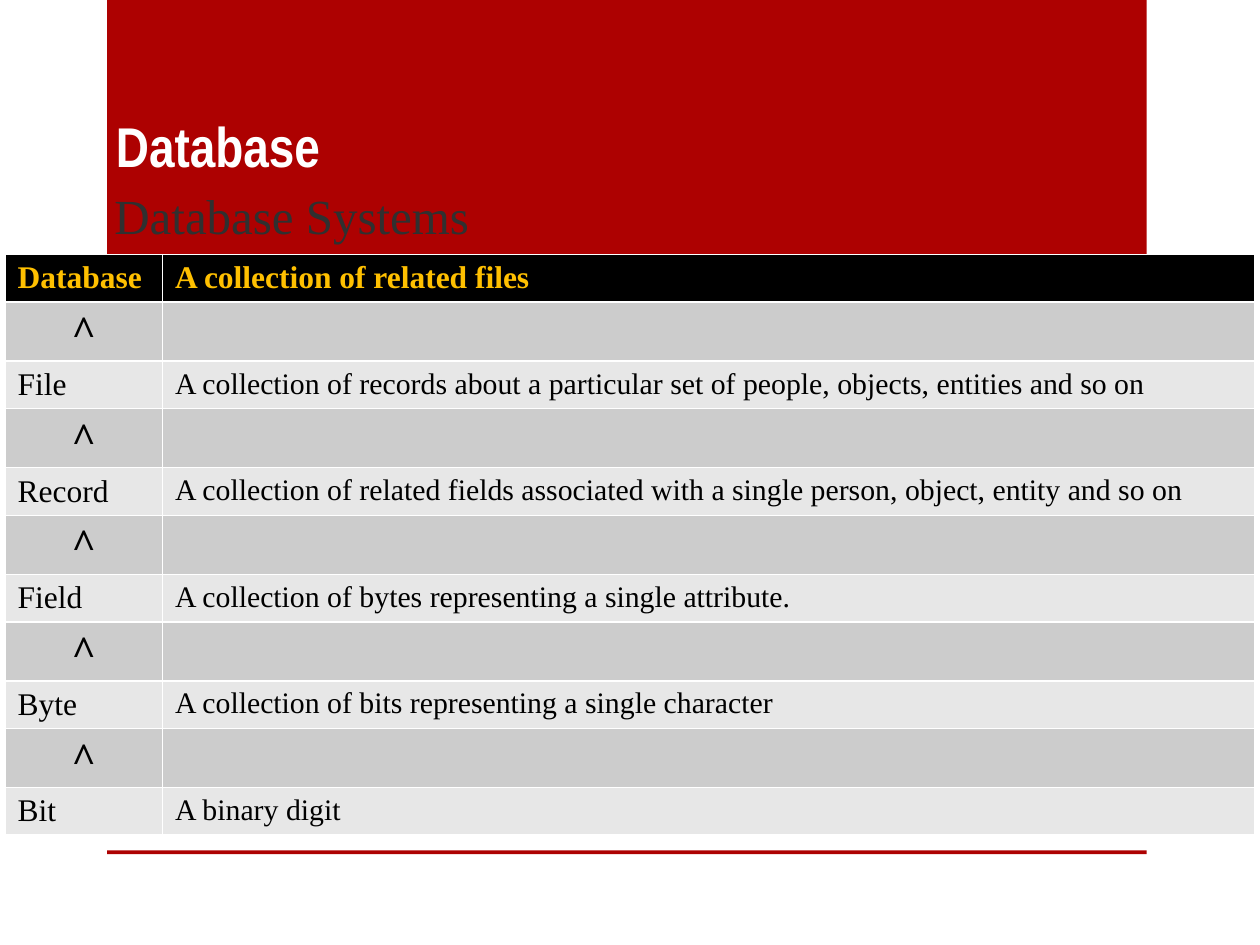
from dataclasses import dataclass
from pptx import Presentation
from pptx.dml.color import RGBColor
from pptx.enum.shapes import MSO_SHAPE
from pptx.enum.text import MSO_ANCHOR, MSO_AUTO_SIZE, PP_ALIGN
from pptx.util import Pt

RECT = MSO_SHAPE.RECTANGLE
LOW, TOP = MSO_ANCHOR.BOTTOM, MSO_ANCHOR.TOP
LEFT, MID = PP_ALIGN.LEFT, PP_ALIGN.CENTER
FIXED = MSO_AUTO_SIZE.NONE
SERIF, SANS = "Times New Roman", "Arial Narrow"
HUES = {"red": "AD0101", "white": "FFFFFF", "gray": "303030", "black": "000000",
        "gold": "FFC000", "dark": "CCCCCC", "pale": "E7E7E7"}


@dataclass
class Box:
    x: float
    y: float
    w: float
    h: float

    def spots(self) -> list:
        return [Pt(v) for v in (self.x, self.y, self.w, self.h)]


@dataclass
class Style:
    size: float
    hue: str
    bold: bool = False
    name: str = SERIF
    align: int = LEFT


@dataclass
class Term:
    name: str
    text: str


BANDS = [Box(61.2, 0, 594, 239.76), Box(61.2, 486, 594, 2.16)]
HEAD = Style(32, "white", True, SANS)
SUB = Style(28, "gray")
TOPIC = Style(18, "gold", True)
CARET = Style(24, "black", True, align=MID)
LABEL = Style(18, "black")
BODY = Style(17, "black")
WIDTHS = [90, 624.24]
ROW = 21
TERMS = [
    Term("Database", "A collection of related files"),
    Term("File", "A collection of records about a particular set of people, objects, entities and so on"),
    Term("Record", "A collection of related fields associated with a single person, object, entity and so on"),
    Term("Field", "A collection of bytes representing a single attribute."),
    Term("Byte", "A collection of bits representing a single character"),
    Term("Bit", "A binary digit"),
]


def tint(hue: str) -> RGBColor:
    return RGBColor.from_string(HUES[hue])


def write(frame, text: str, style: Style) -> None:
    para = frame.paragraphs[0]
    para.alignment = style.align
    run = para.add_run()
    run.text = text
    form = {"size": Pt(style.size), "bold": style.bold, "name": style.name}
    for key, val in form.items():
        setattr(run.font, key, val)
    run.font.color.rgb = tint(style.hue)


def place(shape, box: Box, text: str, style: Style, form: dict) -> None:
    for key, val in zip(("left", "top", "width", "height"), box.spots()):
        setattr(shape, key, val)
    for key, val in form.items():
        setattr(shape.text_frame, key, val)
    write(shape.text_frame, text, style)


def band(slide, box: Box) -> None:
    shape = slide.shapes.add_shape(RECT, *box.spots())
    shape.shadow.inherit = False
    shape.fill.solid()
    shape.fill.fore_color.rgb = tint("red")
    shape.line.fill.background()
    slide.shapes.title.element.addprevious(shape.element)


def fill(row, hue: str, texts: list, styles: list) -> None:
    row.height = Pt(ROW)
    for cell, text, style in zip(row.cells, texts, styles):
        cell.fill.solid()
        cell.fill.fore_color.rgb = tint(hue)
        if text:
            write(cell.text_frame, text, style)


def chain(slide) -> None:
    count = 2 * len(TERMS) - 1
    box = Box(2.88, 145.44, sum(WIDTHS), ROW * count)
    grid = slide.shapes.add_table(count, 2, *box.spots()).table
    for col, width in zip(grid.columns, WIDTHS):
        col.width = Pt(width)
    for i, term in enumerate(TERMS):
        hue, styles = ("pale", [LABEL, BODY]) if i else ("black", [TOPIC, TOPIC])
        if i:
            fill(grid.rows[2 * i - 1], "dark", ["^", ""], [CARET, BODY])
        fill(grid.rows[2 * i], hue, [term.name, term.text], styles)


def main() -> None:
    deck = Presentation()
    deck.slide_width, deck.slide_height = Pt(720), Pt(540)
    slide = deck.slides.add_slide(deck.slide_layouts[5])
    for box in BANDS:
        band(slide, box)
    form = {"word_wrap": True, "auto_size": FIXED}
    place(slide.shapes.title, Box(59.04, 9.36, 630.72, 92.88), "Database", HEAD,
          {**form, "vertical_anchor": LOW, "margin_top": 0, "margin_bottom": 0})
    area = Box(58.32, 102.24, 631.44, 54)
    place(slide.shapes.add_textbox(*area.spots()), area, "Database Systems", SUB,
          {**form, "vertical_anchor": TOP})
    chain(slide)
    deck.save("out.pptx")


if __name__ == "__main__":
    main()
